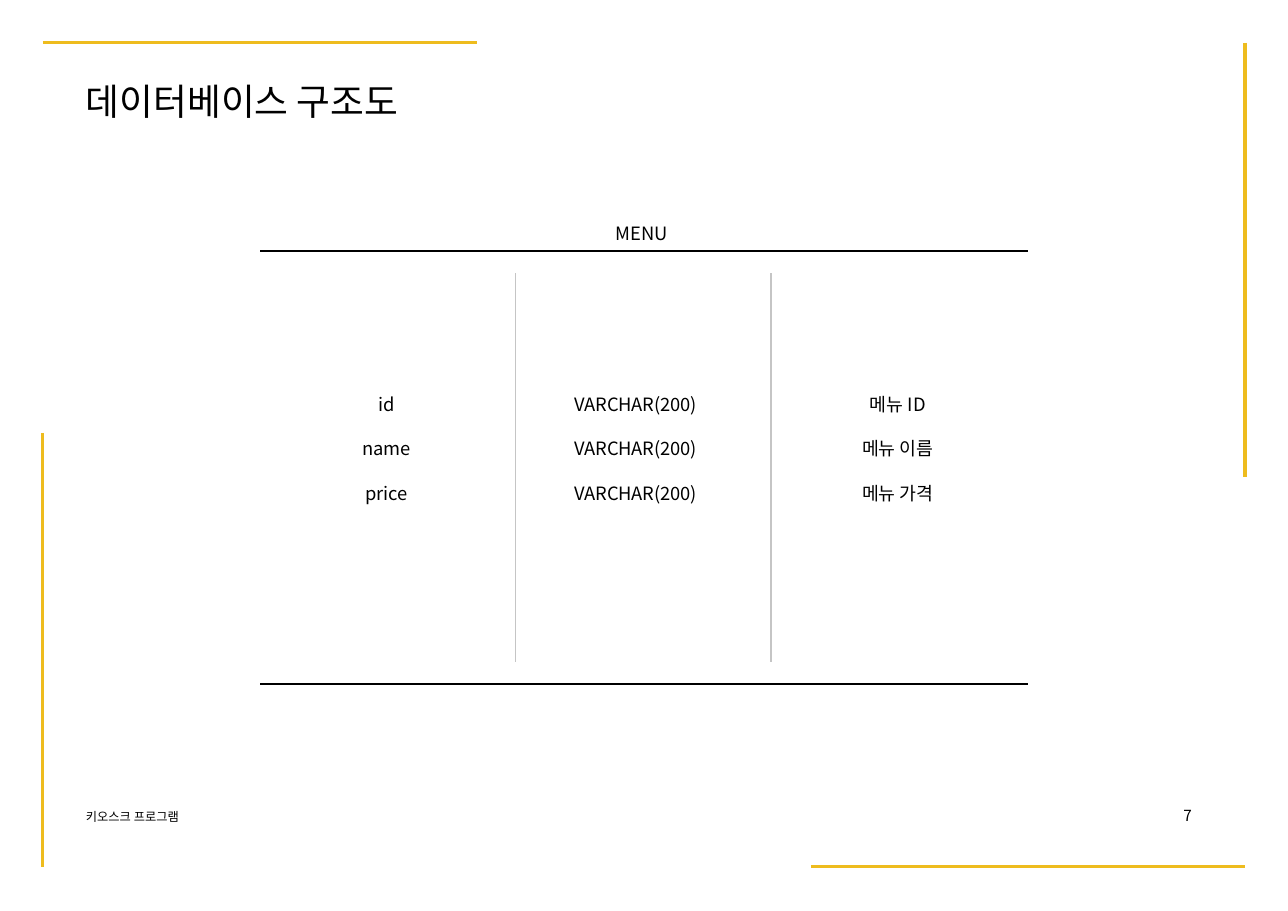
from lxml.etree import SubElement
from pptx import Presentation
from pptx.dml.color import RGBColor
from pptx.enum.shapes import MSO_CONNECTOR as CONN
from pptx.enum.text import MSO_AUTO_SIZE as FIT, PP_ALIGN as ALIGN
from pptx.oxml.ns import qn
from pptx.util import Pt

PX = 9144
FONT = "Noto Sans CJK KR"
BLACK, GREY, GOLD = "000000", "C5C5C5", "EEBC1E"
MENU_ROWS = [
    ("id", "VARCHAR(200)", "메뉴 ID"),
    ("name", "VARCHAR(200)", "메뉴 이름"),
    ("price", "VARCHAR(200)", "메뉴 가격"),
]


def color(hex_value):
    """Turn a hex string into a colour."""
    return RGBColor.from_string(hex_value)


def add_line(s, x1, y1, x2, y2, hex_value, width):
    """Draw a straight line between two points."""
    line = s.shapes.add_connector(CONN.STRAIGHT, *(v * PX for v in (x1, y1, x2, y2)))
    line.line.color.rgb = color(hex_value)
    line.line.width = Pt(width)
    SubElement(line._element.spPr, qn("a:effectLst"))


def add_text(s, box, text, size, align=ALIGN.LEFT, before=1, inset=1, spacing=0):
    """Write one line of text in a box."""
    tf = s.shapes.add_textbox(*(v * PX for v in box)).text_frame
    frame = {"margin_left": inset * PX, "margin_top": PX, "margin_right": 0,
             "margin_bottom": 0, "word_wrap": True, "auto_size": FIT.NONE}
    for name, value in frame.items():
        setattr(tf, name, value)
    p = tf.paragraphs[0]
    p.alignment, p.space_before = align, Pt(before)
    r = p.add_run()
    r.text = text
    for name, value in {"name": FONT, "size": Pt(size)}.items():
        setattr(r.font, name, value)
    r.font.color.rgb = color(BLACK)
    props = r._r.get_or_add_rPr()
    SubElement(props, qn("a:ea")).set("typeface", FONT)
    if spacing:
        props.set("spc", str(spacing))


def add_frame(s, x, y, w, h, length):
    """Draw the gold bars around the slide."""
    right, bottom = x + w, y + h
    for ends in [(x, y, x + length, y), (right - length, bottom, right, bottom),
                 (right, y, right, y + length), (x, bottom - length, x, bottom)]:
        add_line(s, *ends, GOLD, 2)


def add_menu(s, x, y, w, h):
    """Lay out the MENU table with its rules."""
    for rule_y in (y, y + h):
        add_line(s, x, rule_y, x + w, rule_y, BLACK, 1)
    for i in (1, 2):
        rule_x = x + i * w // 3
        add_line(s, rule_x, y + 20, rule_x, y + h - 20, GREY, 1)
    add_text(s, (x + 322, y - 27, 54, 23), "MENU", 12)
    for i, row in enumerate(MENU_ROWS):
        for center, text in zip((115, 341, 579), row):
            add_text(s, (x + center - 64, y + 128 + i * 81 // 2, 128, 23), text, 12,
                     ALIGN.CENTER, inset=0, spacing=-10 if "(" in text else 0)


def add_footer(s, x, y, w, h):
    """Place the programme name and the page number."""
    add_text(s, (x, y + 3, 100, h - 3), "키오스크 프로그램", 8, before=0)
    add_text(s, (x + w - 22, y, 22, h), "7", 10, before=0, inset=3)


def main():
    """Build the slide and save it."""
    prs = Presentation()
    prs.slide_width, prs.slide_height = 1169 * PX, 827 * PX
    s = prs.slides.add_slide(prs.slide_layouts[6])
    add_frame(s, 39, 39, 1091, 748, 394)
    add_text(s, (77, 71, 300, 43), "데이터베이스 구조도", 24)
    add_menu(s, 236, 228, 697, 393)
    add_footer(s, 77, 731, 1016, 20)
    prs.save("out.pptx")


if __name__ == "__main__":
    main()
